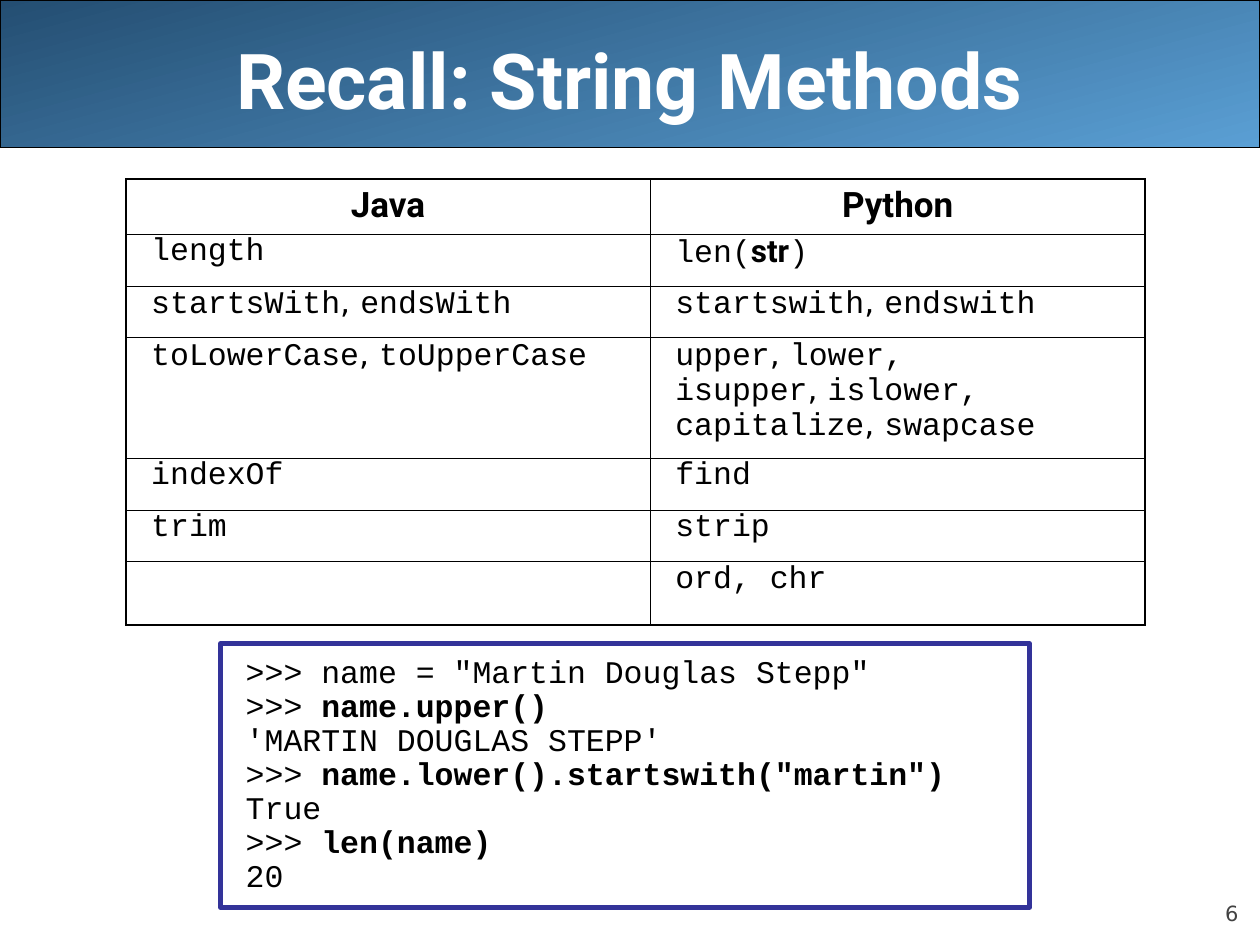
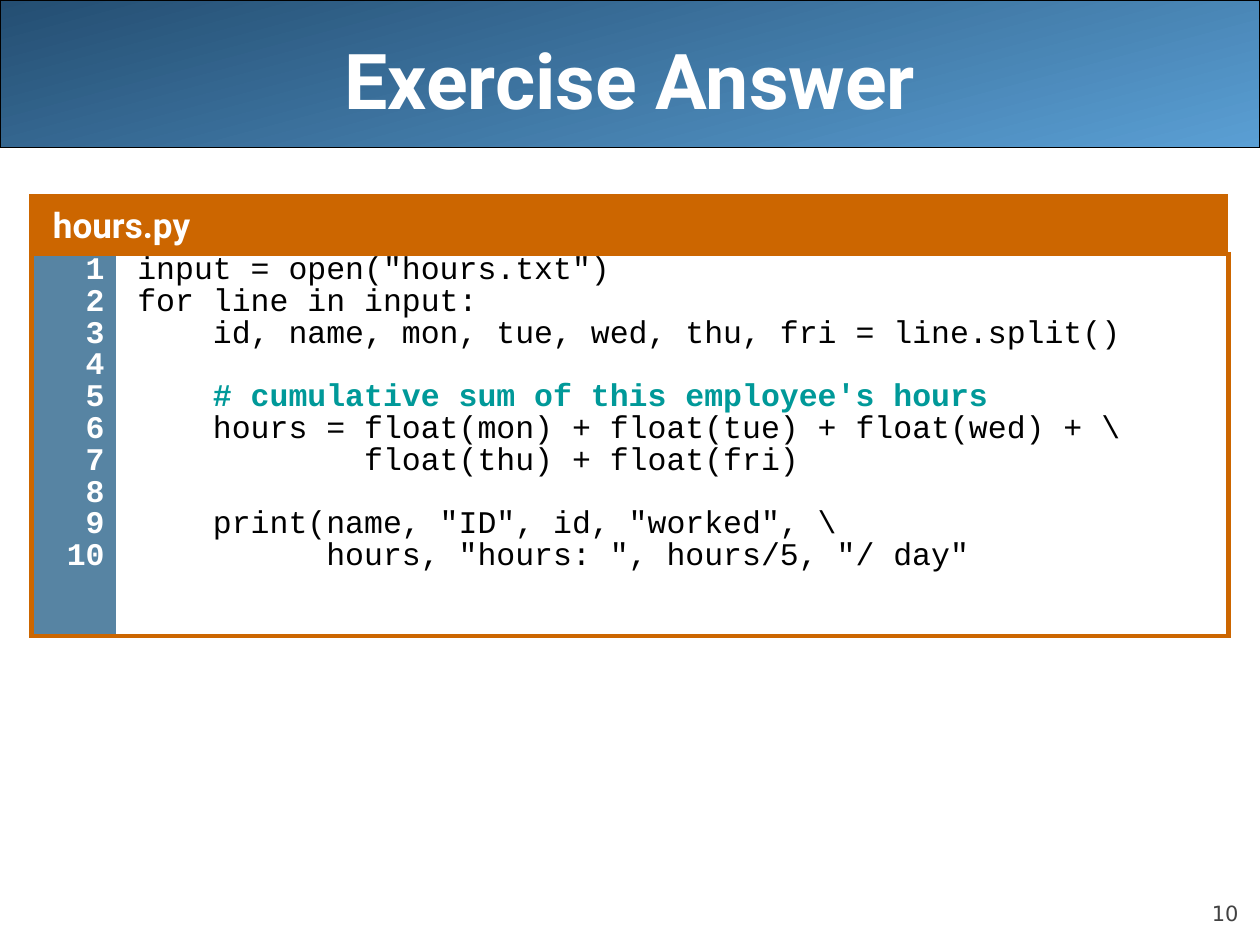
from dataclasses import dataclass
from typing import Any, Optional, Union

from lxml.etree import SubElement
from pptx import Presentation
from pptx.dml.color import RGBColor
from pptx.enum.shapes import MSO_SHAPE as Preset
from pptx.enum.text import MSO_ANCHOR as Anchor, MSO_AUTO_SIZE as AutoSize, PP_ALIGN as Align
from pptx.oxml.ns import qn
from pptx.util import Emu, Inches, Pt

GRID_COLUMNS = 40  # square grid: 40 columns by 30 rows
WIDTH, HEIGHT = Inches(10), Inches(7.5)


@dataclass(frozen=True)
class Theme:
    heading: str = "Roboto"
    code: str = "Courier New"
    plain: str = "DejaVu Sans"
    title_size: float = 44
    header_size: float = 20
    code_size: float = 18
    number_size: float = 12
    black: str = "000000"
    white: str = "FFFFFF"
    band_dark: str = "244E72"
    band_light: str = "5A9FD4"
    page_number: str = "424242"
    console_line: str = "333399"
    listing_frame: str = "CC6600"
    line_numbers: str = "5784A3"
    comment: str = "009999"


THEME = Theme()


@dataclass(frozen=True)
class Box:
    """A place on the grid, in columns and rows."""
    left: float
    top: float
    width: float
    height: float

    def emu(self) -> list[Emu]:
        return [grid(n) for n in (self.left, self.top, self.width, self.height)]


@dataclass(frozen=True)
class Style:
    font: str = THEME.code
    size: float = THEME.code_size
    color: str = THEME.black
    bold: bool = False


@dataclass(frozen=True)
class Run:
    text: str
    style: Style = Style()


@dataclass(frozen=True)
class Line:
    runs: list[Run]
    format: dict[str, Any]
    indent: float = 0  # inches


CODE = Style()
CODE_BOLD = Style(bold=True)
COMMENT = Style(color=THEME.comment, bold=True)
NUMBERS = Style(color=THEME.white, bold=True)
TITLE = Style(THEME.heading, THEME.title_size, THEME.white, True)
TABLE_HEADER = Style(THEME.heading, THEME.header_size, bold=True)
LISTING_HEADER = Style(THEME.heading, THEME.header_size, THEME.white, True)
PAGE_NUMBER = Style(THEME.plain, THEME.number_size, THEME.page_number)
COMMA = Run(", ", Style(THEME.plain))

BAND = Box(0, 0, 40, 4.68)
TITLE_BOX = Box(2, 0, 36, 5)
NUMBER_BOX = Box(36, 27.8, 3.32, 1.6)


def grid(units: float) -> Emu:
    return Emu(round(WIDTH * units / GRID_COLUMNS))


def rgb(color: str) -> RGBColor:
    return RGBColor.from_string(color)


def apply(target: Any, values: dict[str, Any]) -> None:
    for name, value in values.items():
        setattr(target, name, value)


def margins(left: float, top: float, right: float, bottom: float) -> dict[str, Emu]:
    sides = zip(("left", "top", "right", "bottom"), (left, top, right, bottom))
    return {f"margin_{side}": Inches(value) for side, value in sides}


def write(frame: Any, lines: list[Line]) -> None:
    for index, line in enumerate(lines):
        paragraph = frame.paragraphs[0] if index == 0 else frame.add_paragraph()
        apply(paragraph, line.format)
        if line.indent:
            apply_to = paragraph._p.get_or_add_pPr()
            apply_to.set("marL", str(Inches(line.indent)))
            apply_to.set("indent", "0")
        for part in line.runs:
            run = paragraph.add_run()
            run.text = part.text
            style = part.style
            apply(run.font, {"name": style.font, "size": Pt(style.size), "bold": style.bold})
            run.font.color.rgb = rgb(style.color)


# Slide frame: band, title and page number
def add_framed_slide(presentation: Any, title: str, number: int) -> Any:
    slide = presentation.slides.add_slide(presentation.slide_layouts[5])
    heading = slide.shapes.title
    apply(heading, dict(zip(("left", "top", "width", "height"), TITLE_BOX.emu())))
    apply(heading.text_frame, {"vertical_anchor": Anchor.MIDDLE, "word_wrap": True,
                               "auto_size": AutoSize.NONE, **margins(0.1, 0.05, 0.1, 0.05)})
    write(heading.text_frame, [Line([Run(title, TITLE)], {"alignment": Align.CENTER})])

    band = slide.shapes.add_shape(Preset.ROUNDED_RECTANGLE, *BAND.emu())
    band.adjustments[0] = 0
    band.shadow.inherit = False
    band.fill.gradient()
    band.fill.gradient_angle = 360 - 75
    for stop, color in zip(band.fill.gradient_stops, (THEME.band_dark, THEME.band_light)):
        stop.color.rgb = rgb(color)
    band.line.color.rgb = rgb(THEME.black)
    band.line.width = Pt(0.75)
    heading.element.addprevious(band.element)

    frame = slide.shapes.add_textbox(*NUMBER_BOX.emu()).text_frame
    apply(frame, {"vertical_anchor": Anchor.BOTTOM, "word_wrap": True, **margins(0, 0, 0, 0)})
    write(frame, [Line([Run(str(number), PAGE_NUMBER)], {"alignment": Align.RIGHT})])
    return slide


# Tables
def add_grid_table(slide: Any, left: float, top: float,
                   columns: list[float], rows: list[float]) -> Any:
    box = Box(left, top, sum(columns), sum(rows))
    table = slide.shapes.add_table(len(rows), len(columns), *box.emu()).table
    apply(table, {"first_row": False, "horz_banding": False})
    for column, width in zip(table.columns, columns):
        column.width = grid(width)
    for row, height in zip(table.rows, rows):
        row.height = grid(height)
    return table


def set_borders(cell: Any, color: str, widths: dict[str, float]) -> None:
    """Draw the L, R, T and B edges; a width of 0 hides the edge."""
    properties = cell._tc.get_or_add_tcPr()
    for edge in "LRTB":
        line = SubElement(properties, qn(f"a:ln{edge}"), w=str(Pt(widths[edge])))
        if widths[edge]:
            SubElement(SubElement(line, qn("a:solidFill")), qn("a:srgbClr"), val=color)
        else:
            SubElement(line, qn("a:noFill"))


def fill_cell(cell: Any, lines: list[Line], inset: dict[str, Emu],
              color: Optional[str] = None) -> None:
    apply(cell, {"vertical_anchor": Anchor.TOP, **inset})
    if color:
        cell.fill.solid()
        cell.fill.fore_color.rgb = rgb(color)
    else:
        cell.fill.background()
    write(cell.text_frame, lines)


# Slide: string methods
METHOD_COLUMNS = [16.64, 15.72]
METHOD_ROWS = [1.76, 1.64, 1.64, 3.84, 1.64, 1.64, 2]
CONSOLE_BOX = Box(7, 20.44, 25.68, 8.36)
PROMPT = ">>> "

MethodCell = list[Union[list[str], list[Run]]]  # lines of method names or of runs
METHODS: list[tuple[MethodCell, MethodCell]] = [
    ([["length"]],
     [[Run("len("), Run("str", Style(THEME.heading, bold=True)), Run(")")]]),
    ([["startsWith", "endsWith"]], [["startswith", "endswith"]]),
    ([["toLowerCase", "toUpperCase"]],
     [["upper", "lower,"], ["isupper", "islower,"], ["capitalize", "swapcase"]]),
    ([["indexOf"]], [["find"]]),
    ([["trim"]], [["strip"]]),
    ([], [["ord, chr"]]),
]
CONSOLE = [
    [Run('>>> name = "Martin Douglas Stepp"')],
    [Run(PROMPT), Run("name.upper()", CODE_BOLD)],
    [Run("'MARTIN DOUGLAS STEPP'")],
    [Run(PROMPT), Run('name.lower().startswith("martin")', CODE_BOLD)],
    [Run("True")],
    [Run(PROMPT), Run("len(name)", CODE_BOLD)],
    [Run("20")],
]


def method_line(items: Union[list[str], list[Run]]) -> Line:
    runs: list[Run] = []
    for item in items:
        if isinstance(item, Run):
            runs.append(item)
        else:
            runs += ([COMMA] if runs else []) + [Run(item)]
    return Line(runs, {"line_spacing": 0.7, "space_before": Pt(4.5)})


def build_string_methods(presentation: Any) -> None:
    slide = add_framed_slide(presentation, "Recall: String Methods", 6)
    table = add_grid_table(slide, 4, 5.68, METHOD_COLUMNS, METHOD_ROWS)
    header = {"alignment": Align.CENTER, "space_before": Pt(5)}
    last_row, last_column = len(METHOD_ROWS) - 1, len(METHOD_COLUMNS) - 1
    outer, inner = 1.08, 0.45
    for row in range(last_row + 1):
        for column in range(last_column + 1):
            cell = table.cell(row, column)
            outside = {"L": column == 0, "R": column == last_column,
                       "T": row == 0, "B": row == last_row}
            set_borders(cell, THEME.black,
                        {edge: outer if out else inner for edge, out in outside.items()})
            if row == 0:
                name = ("Java", "Python")[column]
                fill_cell(cell, [Line([Run(name, TABLE_HEADER)], header)],
                          margins(0.1, 0.05, 0.1, 0.05))
            else:
                fill_cell(cell, [method_line(items) for items in METHODS[row - 1][column]],
                          margins(0.2, 0.05, 0.2, 0.05))

    # Console session
    console = slide.shapes.add_shape(Preset.RECTANGLE, *CONSOLE_BOX.emu())
    console.shadow.inherit = False
    console.fill.solid()
    console.fill.fore_color.rgb = rgb(THEME.white)
    console.line.color.rgb = rgb(THEME.console_line)
    console.line.width = Pt(3)
    apply(console.text_frame, {"word_wrap": True, "vertical_anchor": Anchor.TOP,
                               "auto_size": AutoSize.SHAPE_TO_FIT_TEXT,
                               **margins(0.2, 0.1, 0.2, 0.1)})
    write(console.text_frame,
          [Line(runs, {"alignment": Align.LEFT, "line_spacing": 0.9}) for runs in CONSOLE])


# Slide: exercise answer
LISTING = r'''input = open("hours.txt")
for line in input:
    id, name, mon, tue, wed, thu, fri = line.split()

    # cumulative sum of this employee's hours
    hours = float(mon) + float(tue) + float(wed) + \
            float(thu) + float(fri)

    print(name, "ID", id, "worked", \
          hours, "hours: ", hours/5, "/ day"'''.split("\n")
CELL_INDENT = 0.12
CHARACTER_WIDTH = 0.15  # inches, code font at code size
LINE_GAP, LINE_PITCH = 4.5, 18.16  # points


def listing_lines() -> list[Line]:
    """Turn leading spaces into indents and empty lines into space before."""
    lines, gap = [], LINE_GAP
    for source in LISTING:
        code = source.lstrip()
        if not code:
            gap += LINE_PITCH
            continue
        style = COMMENT if code.startswith("#") else CODE
        indent = CELL_INDENT + CHARACTER_WIDTH * (len(source) - len(code))
        lines.append(Line([Run(code, style)],
                          {"line_spacing": 0.67, "space_before": Pt(gap)}, indent))
        gap = LINE_GAP
    return lines


def build_exercise_answer(presentation: Any) -> None:
    slide = add_framed_slide(presentation, "Exercise Answer", 10)
    table = add_grid_table(slide, 1, 6.24, [2.68, 35.32], [1.8, 12.12])
    for row in range(2):
        for column in range(2):
            set_borders(table.cell(row, column), THEME.listing_frame,
                        {"L": 3 * (column == 0), "R": 3 * (column == 1), "T": 3, "B": 3})
    header, numbers, code = table.cell(0, 0), table.cell(1, 0), table.cell(1, 1)
    header.merge(table.cell(0, 1))

    header_format = {"line_spacing": 1.07, "space_before": Pt(5)}
    fill_cell(header, [Line([Run("hours.py", LISTING_HEADER)], header_format, CELL_INDENT)],
              margins(0.05, 0.05, 0.05, 0.05), THEME.listing_frame)
    number_format = {"alignment": Align.RIGHT, "line_spacing": 0.67, "space_before": Pt(LINE_GAP)}
    fill_cell(numbers, [Line([Run(str(number), NUMBERS)], number_format, CELL_INDENT)
                        for number in range(1, len(LISTING) + 1)],
              margins(0.05, 0.05, 0.09, 0.05), THEME.line_numbers)
    fill_cell(code, listing_lines(), margins(0.05, 0.05, 0.18, 0.05), THEME.white)


def main() -> None:
    presentation = Presentation()
    apply(presentation, {"slide_width": WIDTH, "slide_height": HEIGHT})
    build_string_methods(presentation)
    build_exercise_answer(presentation)
    presentation.save("out.pptx")


if __name__ == "__main__":
    main()
